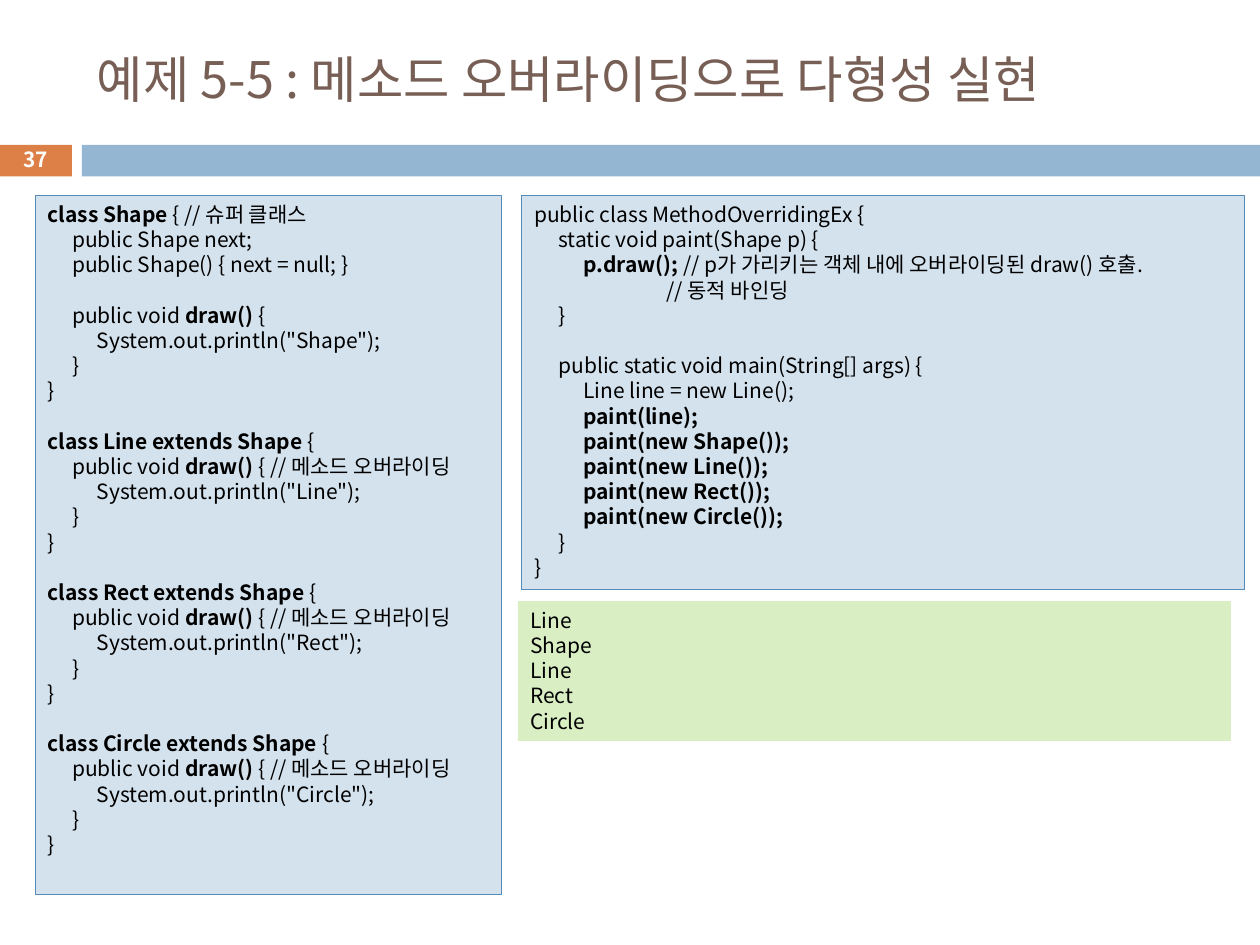
from dataclasses import dataclass
from typing import Optional

from lxml.etree import SubElement
from pptx import Presentation
from pptx.dml.color import RGBColor
from pptx.enum.shapes import MSO_SHAPE
from pptx.enum.text import MSO_ANCHOR, PP_ALIGN
from pptx.oxml.ns import qn
from pptx.util import Inches, Pt

FONT = "Noto Sans CJK KR"
ORANGE = RGBColor(0xDD, 0x80, 0x47)
BAR_BLUE = RGBColor(0x94, 0xB6, 0xD2)
CODE_BLUE = RGBColor(0xD4, 0xE2, 0xED)
BORDER_BLUE = RGBColor(0x55, 0x8B, 0xB8)
OUTPUT_GREEN = RGBColor(0xDA, 0xEE, 0xC4)
TITLE_BROWN = RGBColor(0x77, 0x5F, 0x55)
WHITE = RGBColor(0xFF, 0xFF, 0xFF)
BLACK = RGBColor(0x00, 0x00, 0x00)

LINE_HEIGHT = Pt(14.4)
TAB_WIDTH = Inches(0.195)
TAB_COUNT = 5
BOLD_MARK = "**"


@dataclass
class Area:
    left: float
    top: float
    width: float
    height: float

    def lengths(self) -> list:
        return [Inches(n) for n in (self.left, self.top, self.width, self.height)]


@dataclass
class Panel:
    area: Area
    fill: RGBColor
    border: Optional[RGBColor] = None
    text: str = ""


def subclass_code(name: str) -> str:
    return f"""
**class {name} extends Shape **{{
	public void **draw() **{{ // 메소드 오버라이딩
		System.out.println("{name}");
	}}
}}
"""


SHAPE_CODE = """**class Shape **{ // 슈퍼 클래스
	public Shape next;
	public Shape() { next = null; }

	public void **draw() **{
		System.out.println("Shape");
	}
}
""" + "".join(subclass_code(name) for name in ("Line", "Rect", "Circle"))

MAIN_CODE = """public class MethodOverridingEx {
	static void paint(Shape p) {
		**p.draw(); **// p가 가리키는 객체 내에 오버라이딩된 draw() 호출.
					  // 동적 바인딩
	}

	public static void main(String[] args) {
		Line line = new Line();
		**paint(line);**
		**paint(new Shape());**
		**paint(new Line());**
		**paint(new Rect());**
		**paint(new Circle());**
	}
}"""

PANELS = [
    # Page number block and header bar
    Panel(Area(-0.01, 1.15, 0.58, 0.25), ORANGE),
    Panel(Area(0.65, 1.15, 9.35, 0.25), BAR_BLUE),
    # Code and its output
    Panel(Area(0.28, 1.55, 3.7, 5.55), CODE_BLUE, BORDER_BLUE, SHAPE_CODE),
    Panel(Area(4.14, 1.55, 5.74, 3.13), CODE_BLUE, BORDER_BLUE, MAIN_CODE),
    Panel(Area(4.11, 4.77, 5.66, 1.11), OUTPUT_GREEN,
          text="Line\nShape\nLine\nRect\nCircle"),
]


def add_span(para, text: str, size: float, color: RGBColor, bold: bool = False) -> None:
    span = para.add_run()
    span.text = text
    for name, value in {"name": FONT, "size": Pt(size), "bold": bold}.items():
        setattr(span.font, name, value)
    span.font.color.rgb = color
    SubElement(span.font._element, qn("a:ea"), typeface=FONT)


def add_tab_stops(para) -> None:
    tabs = SubElement(para._p.get_or_add_pPr(), qn("a:tabLst"))
    for number in range(1, TAB_COUNT + 1):
        SubElement(tabs, qn("a:tab"), pos=str(TAB_WIDTH * number), algn="l")


def write_code(frame, code: str) -> None:
    """Write one paragraph per line; an empty line becomes space before the next."""
    para, gap = frame.paragraphs[0], 0
    for number, line in enumerate(code.rstrip().split("\n")):
        if not line:
            gap = LINE_HEIGHT
            continue
        if number:
            para = frame.add_paragraph()
        add_tab_stops(para)
        formats = {"alignment": PP_ALIGN.LEFT, "line_spacing": LINE_HEIGHT,
                   "space_before": Pt(0) if not gap else gap}
        for name, value in formats.items():
            setattr(para, name, value)
        gap = 0
        for index, part in enumerate(line.split(BOLD_MARK)):
            if part:
                add_span(para, part, 12, BLACK, bold=index % 2 == 1)


def add_panel(page, panel: Panel) -> None:
    box = page.shapes.add_shape(MSO_SHAPE.RECTANGLE, *panel.area.lengths())
    box.shadow.inherit = False
    box.fill.solid()
    box.fill.fore_color.rgb = panel.fill
    if panel.border is None:
        box.line.fill.background()
    else:
        box.line.color.rgb = panel.border
        box.line.width = Pt(0.75)
    if panel.text:
        box.text_frame.word_wrap = True
        box.text_frame.vertical_anchor = MSO_ANCHOR.TOP
        write_code(box.text_frame, panel.text)


def add_label(page, area: Area, text: str, size: float, color: RGBColor,
              alignment: PP_ALIGN, bold: bool = False) -> None:
    frame = page.shapes.add_textbox(*area.lengths()).text_frame
    formats = {"word_wrap": True, "vertical_anchor": MSO_ANCHOR.MIDDLE}
    for name, value in formats.items():
        setattr(frame, name, value)
    para = frame.paragraphs[0]
    para.alignment = alignment
    add_span(para, text, size, color, bold)


def main() -> None:
    deck = Presentation()
    deck.slide_width, deck.slide_height = Inches(10), Inches(7.5)
    page = deck.slides.add_slide(deck.slide_layouts[6])

    for panel in PANELS:
        add_panel(page, panel)

    # Title and page number
    add_label(page, Area(0.67, 0.25, 8.92, 0.74),
              "예제 5-5 : 메소드 오버라이딩으로 다형성 실현",
              28.8, TITLE_BROWN, PP_ALIGN.LEFT)
    add_label(page, Area(-0.01, 1.13, 0.58, 0.27), "37",
              11.9, WHITE, PP_ALIGN.CENTER, bold=True)

    deck.save("out.pptx")


if __name__ == "__main__":
    main()
